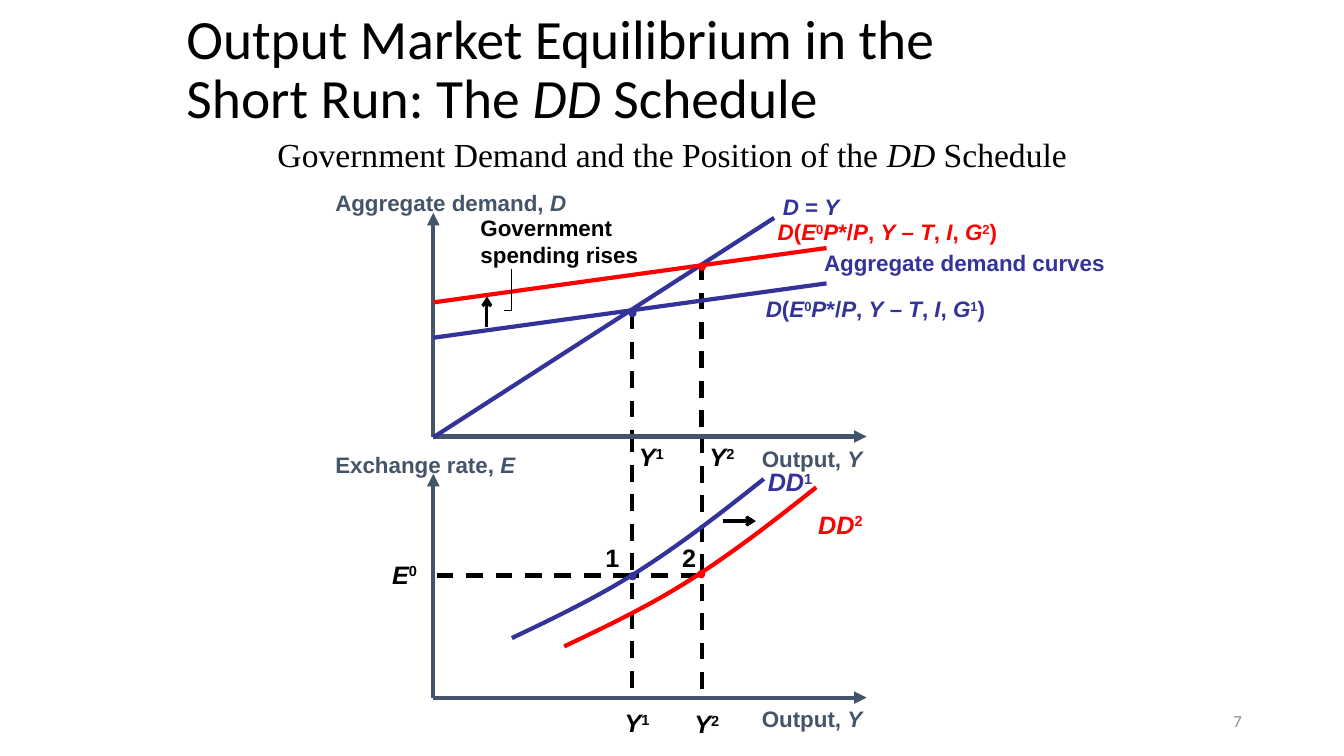
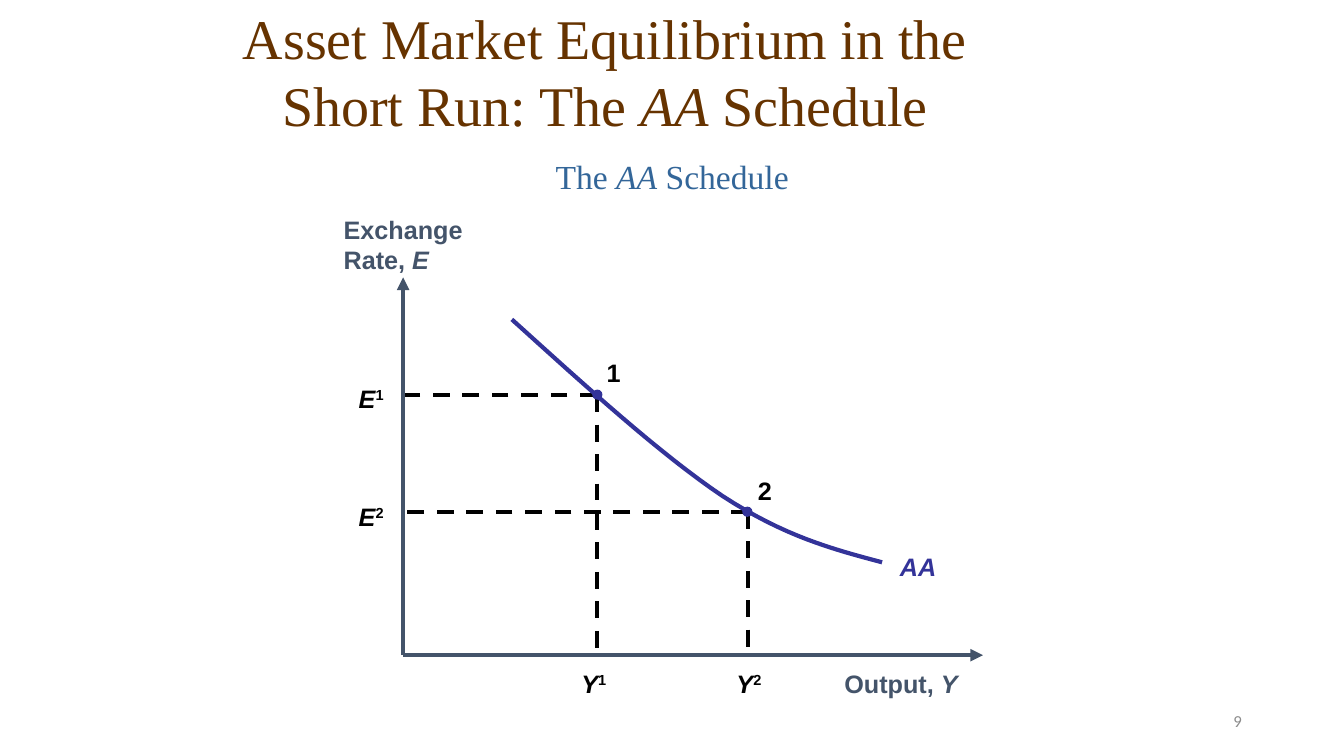
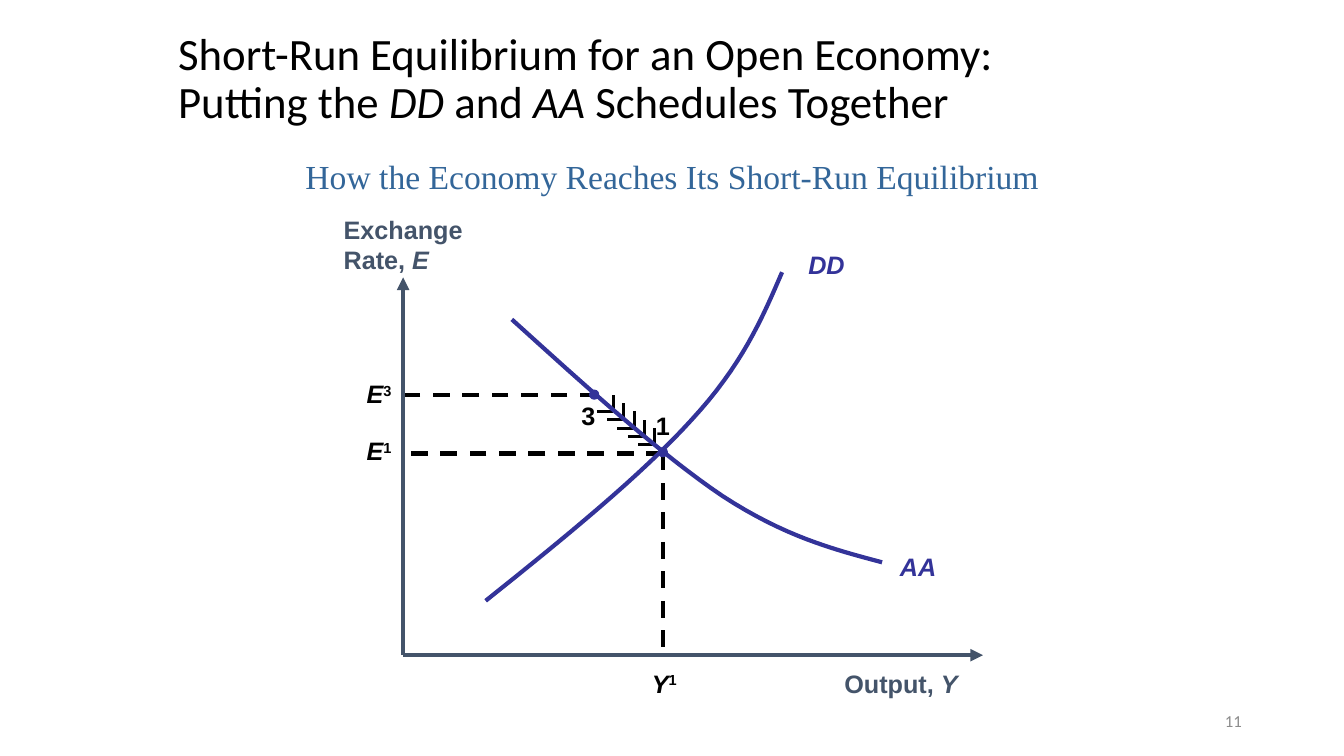
"""Build three slides on the DD and AA schedules of an open economy."""
from lxml import etree
from pptx import Presentation
from pptx.dml.color import RGBColor
from pptx.enum.dml import MSO_LINE
from pptx.enum.shapes import MSO_CONNECTOR, MSO_SHAPE
from pptx.enum.text import MSO_ANCHOR, PP_ALIGN
from pptx.oxml.ns import qn
from pptx.util import Cm, Pt

BLACK = RGBColor(0x00, 0x00, 0x00)
BLUE = RGBColor(0x33, 0x33, 0x99)
RED = RGBColor(0xFF, 0x00, 0x00)
SLATE = RGBColor(0x44, 0x54, 0x6A)
STEEL = RGBColor(0x33, 0x66, 0x99)
BROWN = RGBColor(0x66, 0x33, 0x00)
GREY = RGBColor(0x8C, 0x8C, 0x8C)
SANS, SERIF, LABEL_FONT = "Calibri", "Times New Roman", "Arial"
LEFT, CENTER, RIGHT = PP_ALIGN.LEFT, PP_ALIGN.CENTER, PP_ALIGN.RIGHT
TOP, MIDDLE, BOTTOM = MSO_ANCHOR.TOP, MSO_ANCHOR.MIDDLE, MSO_ANCHOR.BOTTOM
DASH, STRAIGHT, OVAL = MSO_LINE.DASH, MSO_CONNECTOR.STRAIGHT, MSO_SHAPE.OVAL
CURVE_STEPS = 16


def write(page, left, top, width, height, text, size, colour, font=LABEL_FONT,
          align=LEFT, anchor=TOP, bold=False, wrap=True, spacing=1.0):
    """Add a text box; | splits runs, _ marks italics, ^ marks superscripts."""
    box = page.shapes.add_textbox(Cm(left), Cm(top), Cm(width), height)
    frame = box.text_frame
    frame.word_wrap = wrap
    frame.vertical_anchor = anchor
    for index, line in enumerate(text.split("\n")):
        para = frame.add_paragraph() if index else frame.paragraphs[0]
        para.alignment = align
        para.line_spacing = spacing
        for piece in line.split("|"):
            span = para.add_run()
            span.text = piece.lstrip("_^")
            span.font.name = font
            span.font.size = Pt(size)
            span.font.bold = bold
            span.font.italic = piece.startswith("_")
            span.font.color.rgb = colour
            if piece.startswith("^"):
                span.font._element.set("baseline", "30000") if hasattr(
                    span.font, "_element") else span._r.get_or_add_rPr().set("baseline", "30000")


def draw_line(page, x1, y1, x2, y2, colour=BLACK, width=3, dash=None, arrow=None):
    """Add a straight line, with an arrowhead at its end if one is named."""
    line = page.shapes.add_connector(STRAIGHT, Cm(x1), Cm(y1), Cm(x2), Cm(y2))
    line.line.color.rgb = colour
    line.line.width = Pt(width)
    if dash:
        line.line.dash_style = dash
    properties = line._element.spPr
    if arrow:
        etree.SubElement(properties.find(qn("a:ln")), qn("a:tailEnd"), type=arrow)
    etree.SubElement(properties, qn("a:effectLst"))


deck = Presentation()
deck.slide_width = Cm(33.87)
deck.slide_height = Cm(19.05)

headings = [
    ("Output Market Equilibrium in the Short Run: The |_DD |Schedule",
     4.45, 0.2, 21.59, 39.6, BLACK, SANS, LEFT, 0.9,
     "Government Demand and the Position of the |_DD| Schedule", 0.91, BLACK, "7"),
    ("Asset Market Equilibrium in the Short Run: The |_AA| Schedule",
     4.45, 0.2, 21.59, 40, BROWN, SERIF, CENTER, 1.0,
     "The |_AA| Schedule", 1.47, STEEL, "9"),
    ("Short-Run Equilibrium for an Open Economy: Putting the |_DD| and |_AA |Schedules Together",
     4.24, 0.43, 21.79, 32, BLACK, SANS, LEFT, 0.9,
     "How the Economy Reaches Its Short-Run Equilibrium", 1.47, STEEL, "11"),
]
pages = []
for (title, left, top, width, size, colour, font, align, spacing,
     subtitle, depth, tint, number) in headings:
    page = deck.slides.add_slide(deck.slide_layouts[6])
    pages.append(page)
    write(page, left, top, width, Cm(3.18), title, size, colour, font, align, MIDDLE,
          spacing=spacing)
    write(page, 4.24, 3.6, 25.4, Cm(depth), subtitle, 24, tint, SERIF, CENTER, BOTTOM)
    write(page, 23.93, 17.65, 7.62, Cm(1.02), number, 12, GREY, SANS, RIGHT, MIDDLE)
demand_page, asset_page, economy_page = pages

dashes = [
    (demand_page, 15.93, 7.87, 15.93, 11.02),
    (demand_page, 15.93, 10.97, 15.93, 17.58),
    (demand_page, 17.68, 6.63, 17.68, 11.02),
    (demand_page, 17.7, 11, 17.7, 17.6),
    (demand_page, 15.88, 14.5, 11, 14.5),
    (demand_page, 15.67, 14.5, 17.58, 14.5),
    (asset_page, 15.04, 9.96, 10.16, 9.96),
    (asset_page, 15.04, 9.96, 15.04, 16.51),
    (asset_page, 18.85, 12.9, 10.16, 12.9),
    (asset_page, 18.85, 12.9, 18.85, 16.51),
    (economy_page, 15.04, 9.96, 10.16, 9.96),
    (economy_page, 16.71, 11.43, 10.16, 11.43),
    (economy_page, 16.71, 11.43, 16.71, 16.51),
]
for dash in dashes:
    draw_line(*dash, dash=DASH)

axes = [
    (demand_page, 10.92, 11, 21.84, 5.36),
    (demand_page, 10.92, 17.58, 21.84, 11.94),
    (asset_page, 10.16, 16.51, 24.77, 6.99),
    (economy_page, 10.16, 16.51, 24.77, 6.99),
]
for page, x, y, right, top in axes:
    draw_line(page, x, y, x, top, SLATE, arrow="triangle")
    draw_line(page, x, y, right, y, SLATE, arrow="triangle")

draw_line(demand_page, 10.92, 11.02, 19.51, 5.49, BLUE)
draw_line(demand_page, 10.92, 7.62, 20.83, 6.25, RED)
draw_line(demand_page, 10.92, 8.51, 20.83, 7.14, BLUE)
draw_line(demand_page, 12.9, 6.78, 12.9, 7.82, width=0.75)
draw_line(demand_page, 12.7, 7.82, 12.9, 7.82, width=0.75)
draw_line(demand_page, 12.27, 8.23, 12.27, 7.47, width=2.25, arrow="arrow")
draw_line(demand_page, 18.21, 13.13, 19.05, 13.13, width=2.25, arrow="arrow")

for step in range(5):
    x, y = 15.46 + 0.26 * step, 10.37 + 0.21 * step
    draw_line(economy_page, x - 0.42, y, x, y, width=2.25)
    draw_line(economy_page, x, y, x, y - 0.42, width=2.25)

dd_before = [(12.9, 16.08), (13.97, 15.57), (15.04, 15.06), (16.08, 14.4),
             (17.15, 13.72), (18.21, 12.9), (19.25, 12.07)]
dd_after = [(x + 1.32, y + 0.21) for x, y in dd_before]
aa_curve = [(12.9, 8.05), (14.78, 9.75), (16.66, 11.46), (18.21, 12.5),
            (19.76, 13.51), (20.98, 13.84), (22.23, 14.17)]
dd_curve = [(12.24, 15.14), (14.22, 13.56), (16.18, 11.96), (17.42, 10.59),
            (18.69, 9.22), (19.2, 8.05), (19.71, 6.86)]
curves = [
    (demand_page, dd_before, BLUE),
    (demand_page, dd_after, RED),
    (asset_page, aa_curve, BLUE),
    (economy_page, aa_curve, BLUE),
    (economy_page, dd_curve, BLUE),
]
for page, controls, colour in curves:
    points = []
    for first in (0, 3):
        segment = controls[first:first + 4]
        for step in range(1, CURVE_STEPS + 1):
            t = step / CURVE_STEPS
            weights = ((1 - t) ** 3, 3 * t * (1 - t) ** 2, 3 * t ** 2 * (1 - t), t ** 3)
            points.append(tuple(
                Cm(sum(weight * point[axis] for weight, point in zip(weights, segment)))
                for axis in (0, 1)))
    start_x, start_y = controls[0]
    builder = page.shapes.build_freeform(Cm(start_x), Cm(start_y))
    builder.add_line_segments(points, close=False)
    curve = builder.convert_to_shape()
    curve.shadow.inherit = False
    curve.fill.background()
    curve.line.color.rgb = colour
    curve.line.width = Pt(3)

dots = [
    (demand_page, 15.85, 7.8, 0.18, BLUE),
    (demand_page, 17.6, 6.63, 0.18, RED),
    (demand_page, 15.85, 14.43, 0.18, BLUE),
    (demand_page, 17.58, 14.38, 0.18, RED),
    (asset_page, 14.94, 9.83, 0.23, BLUE),
    (asset_page, 18.72, 12.78, 0.23, BLUE),
    (economy_page, 14.86, 9.83, 0.23, BLUE),
    (economy_page, 16.59, 11.28, 0.23, BLUE),
]
for page, left, top, size, colour in dots:
    dot = page.shapes.add_shape(OVAL, Cm(left), Cm(top), Cm(size), Cm(size))
    dot.shadow.inherit = False
    dot.fill.solid()
    dot.fill.fore_color.rgb = colour
    dot.line.color.rgb = colour
    dot.line.width = Pt(0.75)

demand_formula = "_D|(|_E|^0|_P|*/|_P|, |_Y| – |_T|,|_ I|, |_G|^{}|)"
labels = [
    (demand_page, 8.2, 4.65, 6.33, "Aggregate demand, |_D", 16, SLATE),
    (demand_page, 8.2, 11.23, 5.05, "Exchange rate, |_E", 16, SLATE),
    (demand_page, 18.95, 11.1, 3.05, "Output, |_Y", 16, SLATE),
    (demand_page, 18.95, 17.65, 3.05, "Output, |_Y", 16, SLATE),
    (demand_page, 11.86, 5.28, 4.5, "Government\nspending rises", 16, BLACK),
    (demand_page, 19.48, 4.75, 1.93, "_D| = |_Y", 16, BLUE),
    (demand_page, 19.35, 5.38, 6.12, demand_formula.format(2), 16, RED),
    (demand_page, 20.52, 6.15, 7.59, "Aggregate demand curves", 16, BLUE),
    (demand_page, 19.05, 7.32, 6.12, demand_formula.format(1), 16, BLUE),
    (demand_page, 15.85, 11, 1.17, "_Y|^1", 18, BLACK),
    (demand_page, 17.63, 11, 1.17, "_Y|^2", 18, BLACK),
    (demand_page, 15.49, 17.7, 1.17, "_Y|^1", 18, BLACK),
    (demand_page, 17.25, 17.73, 1.17, "_Y|^2", 18, BLACK),
    (demand_page, 9.63, 13.97, 1.17, "_E|^0", 18, BLACK),
    (demand_page, 15.01, 13.54, 0.86, "1", 18, BLACK),
    (demand_page, 16.94, 13.54, 0.86, "2", 18, BLACK),
    (demand_page, 19.1, 11.63, 1.65, "_DD|^1", 18, BLUE),
    (demand_page, 20.37, 12.7, 1.65, "_DD|^2", 18, RED),
    (asset_page, 14.4, 16.71, 1.17, "_Y|^1", 18, BLACK),
    (asset_page, 18.31, 16.71, 1.17, "_Y|^2", 18, BLACK),
    (asset_page, 8.79, 9.53, 1.17, "_E|^1", 18, BLACK),
    (asset_page, 8.79, 12.5, 1.17, "_E|^2", 18, BLACK),
    (asset_page, 15.04, 8.89, 0.86, "1", 18, BLACK),
    (asset_page, 18.85, 11.86, 0.86, "2", 18, BLACK),
    (economy_page, 16.18, 16.71, 1.17, "_Y|^1", 18, BLACK),
    (economy_page, 8.99, 10.85, 1.17, "_E|^1", 18, BLACK),
    (economy_page, 8.99, 9.42, 1.17, "_E|^3", 18, BLACK),
    (economy_page, 16.28, 10.21, 0.86, "1", 18, BLACK),
    (economy_page, 14.4, 9.96, 0.86, "3", 18, BLACK),
    (economy_page, 20.12, 6.15, 1.42, "_DD", 18, BLUE),
]
for page in (asset_page, economy_page):
    labels += [
        (page, 8.41, 5.28, 3.5, "Exchange\nRate, |_E", 18, SLATE),
        (page, 21.03, 16.71, 3.4, "Output, |_Y", 18, SLATE),
        (page, 22.43, 13.77, 1.42, "_AA", 18, BLUE),
    ]
for page, left, top, width, text, size, colour in labels:
    height = Cm(0.25) + Pt(1.2 * size * len(text.split("\n")))
    write(page, left, top, width, height, text, size, colour, bold=True, wrap=False)

deck.save("out.pptx")
